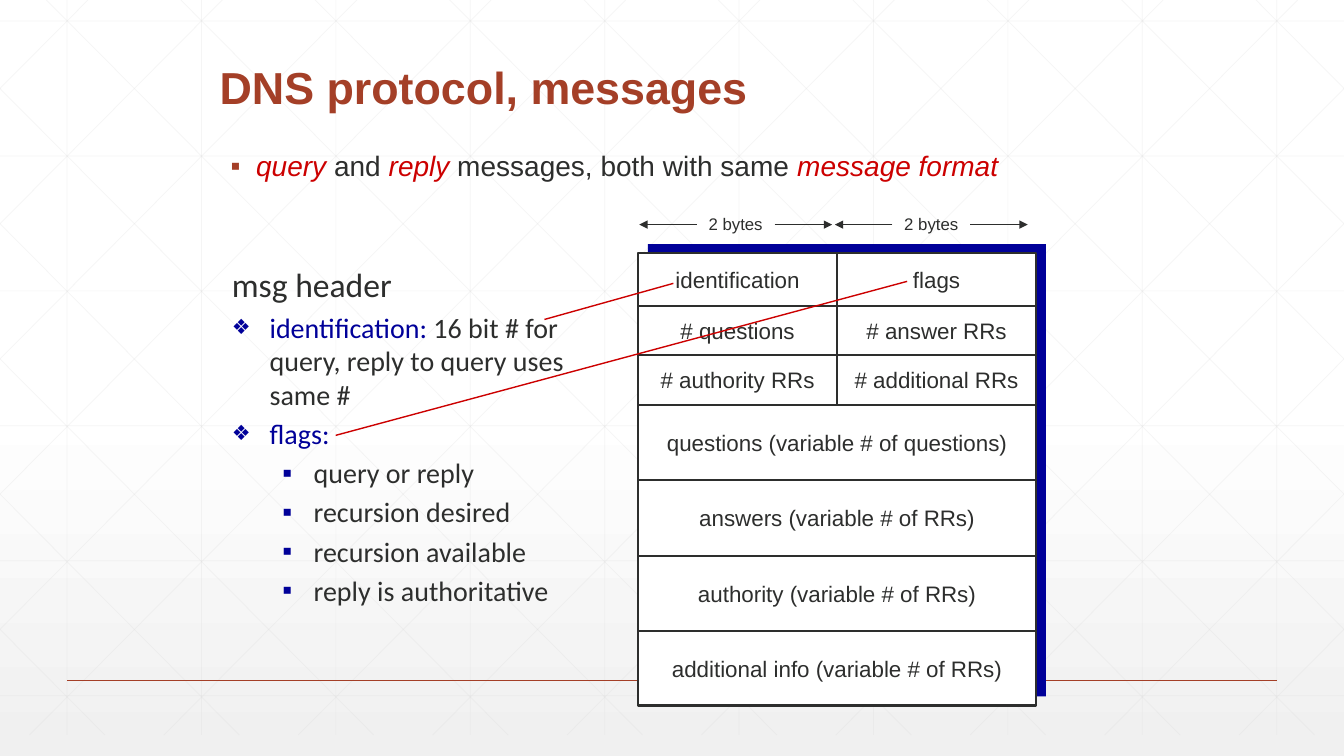
"""Build the slide on DNS protocol messages."""
from lxml.etree import SubElement
from pptx import Presentation
from pptx.dml.color import RGBColor
from pptx.enum.shapes import MSO_CONNECTOR as CONNECTOR, MSO_SHAPE as SHAPE
from pptx.enum.text import MSO_ANCHOR as ANCHOR, MSO_AUTO_SIZE as AUTO_SIZE, PP_ALIGN as ALIGN
from pptx.oxml.ns import qn
from pptx.util import Cm, Pt

RUST, RED, NAVY, INK, GRID = "A43F27", "CC0000", "000099", "2D2E2D", "D9D9D9"
WIDTH, GRID_BOTTOM = 33.87, 18.52
rgb = RGBColor.from_string

deck = Presentation()
deck.slide_width, deck.slide_height = Cm(WIDTH), Cm(19.05)
slide = deck.slides.add_slide(deck.slide_layouts[3])


def draw_line(x1, y1, x2, y2, colour, weight, opacity=None, arrow=False):
    line = slide.shapes.add_connector(CONNECTOR.STRAIGHT, Cm(x1), Cm(y1), Cm(x2), Cm(y2))
    line.line.color.rgb = rgb(colour)
    line.line.width = Pt(weight)
    properties = line._element.spPr
    outline = properties.find(qn("a:ln"))
    if opacity:
        SubElement(outline.find(".//" + qn("a:srgbClr")), qn("a:alpha"), val=str(opacity * 1000))
    if arrow:
        SubElement(outline, qn("a:tailEnd"), type="triangle")
    SubElement(properties, qn("a:effectLst"))


def add_label(text, left, top, width, height, size):
    frame = slide.shapes.add_textbox(Cm(left), Cm(top), Cm(width), Cm(height)).text_frame
    frame.margin_left = frame.margin_right = frame.margin_top = frame.margin_bottom = 0
    frame.word_wrap = True
    frame.vertical_anchor = ANCHOR.MIDDLE
    label = frame.paragraphs[0]
    label.text = text
    label.alignment = ALIGN.CENTER
    label.font.name, label.font.size = "Arial", Pt(size)
    label.font.color.rgb = rgb(INK)


backdrop = slide.background.fill
backdrop.gradient()
backdrop.gradient_angle = 270
for stop, position, colour in zip(backdrop.gradient_stops, (0.53, 1), ("FFFFFF", "F0F0F0")):
    stop.position = position
    stop.color.rgb = rgb(colour)

STEP, SLANT = 3.387, 0.994
for column in range(10):
    x = 1.69 + column * STEP
    draw_line(x, 0, x, GRID_BOTTOM, GRID, 0.5, 25)
for row in range(6):
    y = 0.53 + row * 3.4
    draw_line(0, y, WIDTH, y, GRID, 0.5, 25)
for diagonal in range(-5, 10):
    start = 1.17 + diagonal * STEP
    y1 = max(0, -start / SLANT)
    y2 = min(GRID_BOTTOM, (WIDTH - start) / SLANT)
    x1, x2 = start + SLANT * y1, start + SLANT * y2
    draw_line(x1, y1, x2, y2, GRID, 0.5, 25)
    draw_line(WIDTH - x1, y1, WIDTH - x2, y2, GRID, 0.5, 25)
draw_line(1.69, 17.15, 32.17, 17.15, RUST, 1)

title, intro, header_notes = list(slide.placeholders)
for part, left, top, width, height in (
    (title, 5.28, 0.61, 21.59, 2.39),
    (intro, 5.56, 3.71, 21.72, 1.42),
    (header_notes, 5.59, 6.53, 9.93, 10.67),
):
    part.left, part.top, part.width, part.height = Cm(left), Cm(top), Cm(width), Cm(height)
    part.text_frame.auto_size = AUTO_SIZE.NONE
    slide.shapes._spTree.append(part._element)

title.text_frame.vertical_anchor = ANCHOR.BOTTOM
heading = title.text_frame.paragraphs[0]
heading.text = "DNS protocol, messages"
heading.alignment = ALIGN.LEFT
heading.line_spacing = 0.9
heading.font.name, heading.font.size, heading.font.bold = "Arial", Pt(32), True
heading.font.color.rgb = rgb(RUST)

INTRO = [(0, "▪", [("query ", RED), ("and ", INK), ("reply", RED),
                   (" messages, both with same ", INK), ("message format", RED)])]
NOTES = [
    (0, None, [("msg header", INK)]),
    (0, "❖", [("identification:", NAVY), (" 16 bit # for query, reply to query uses same #", INK)]),
    (0, "❖", [("flags:", NAVY)]),
] + [(1, "▪", [(flag, INK)]) for flag in (
    "query or reply", "recursion desired", "recursion available", "reply is authoritative")]

for part, items, font, bullet_colour, indents in (
    (intro, INTRO, "Arial", RUST, [(0.64, 0.64)]),
    (header_notes, NOTES, "Calibri", NAVY, [(0.95, 0.95), (2.06, 0.79)]),
):
    for number, (level, bullet, runs) in enumerate(items):
        frame = part.text_frame
        item = frame.add_paragraph() if number else frame.paragraphs[0]
        item.level = level
        margin, hanging = indents[level]
        layout = item._p.get_or_add_pPr()
        layout.set("marL", str(Cm(margin)))
        layout.set("indent", str(-Cm(hanging)))
        if bullet:
            SubElement(SubElement(layout, qn("a:buClr")), qn("a:srgbClr"), val=bullet_colour)
            SubElement(layout, qn("a:buSzPct"), val="75000" if bullet == "❖" else "100000")
            SubElement(layout, qn("a:buChar"), char=bullet)
        else:
            SubElement(layout, qn("a:buNone"))
        item.font.name, item.font.size = font, Pt(20 if bullet else 24)
        for text, colour in runs:
            run = item.add_run()
            run.text = text
            run.font.color.rgb = rgb(colour)
            if colour == RED:
                run.font.italic = True
intro.text_frame.paragraphs[0].line_spacing = 0.9
intro.text_frame.paragraphs[0].space_before = Pt(18)

LEFT, TOP, MESSAGE_WIDTH, MESSAGE_HEIGHT = 16.08, 6.38, 10.03, 11.4
for left, top, colour in ((16.33, 6.15, NAVY), (LEFT, TOP, "FFFFFF")):
    block = slide.shapes.add_shape(
        SHAPE.RECTANGLE, Cm(left), Cm(top), Cm(MESSAGE_WIDTH), Cm(MESSAGE_HEIGHT))
    block.shadow.inherit = False
    block.fill.solid()
    block.fill.fore_color.rgb = rgb(colour)
    block.line.fill.background()
block.line.color.rgb = rgb(INK)
block.line.width = Pt(1.5)

FIELDS = [
    (1.32, ["identification", "flags"]),
    (1.25, ["# questions", "# answer RRs"]),
    (1.25, ["# authority RRs", "# additional RRs"]),
    (1.9, ["questions (variable # of questions)"]),
    (1.9, ["answers (variable # of RRs)"]),
    (1.9, ["authority (variable # of RRs)"]),
    (1.88, ["additional info (variable # of RRs)"]),
]
top = TOP
for height, names in FIELDS:
    if top > TOP:
        draw_line(LEFT, top, LEFT + MESSAGE_WIDTH, top, INK, 1.5)
    cell_width = MESSAGE_WIDTH / len(names)
    for column, name in enumerate(names):
        add_label(name, LEFT + column * cell_width, top, cell_width, height, 16)
    top += height
draw_line(21.1, TOP, 21.1, 10.2, INK, 1.5)

draw_line(13.72, 8.05, 16.97, 7.14, RED, 1)
draw_line(8.46, 10.97, 22.86, 7.09, RED, 1)

for centre in (18.54, 23.47):
    add_label("2 bytes", centre - 0.94, 5.26, 1.88, 0.76, 12)
    for side in (1, -1):
        draw_line(centre + side * 0.98, 5.66, centre + side * 2.43, 5.66, INK, 0.75, arrow=True)

deck.save("out.pptx")
